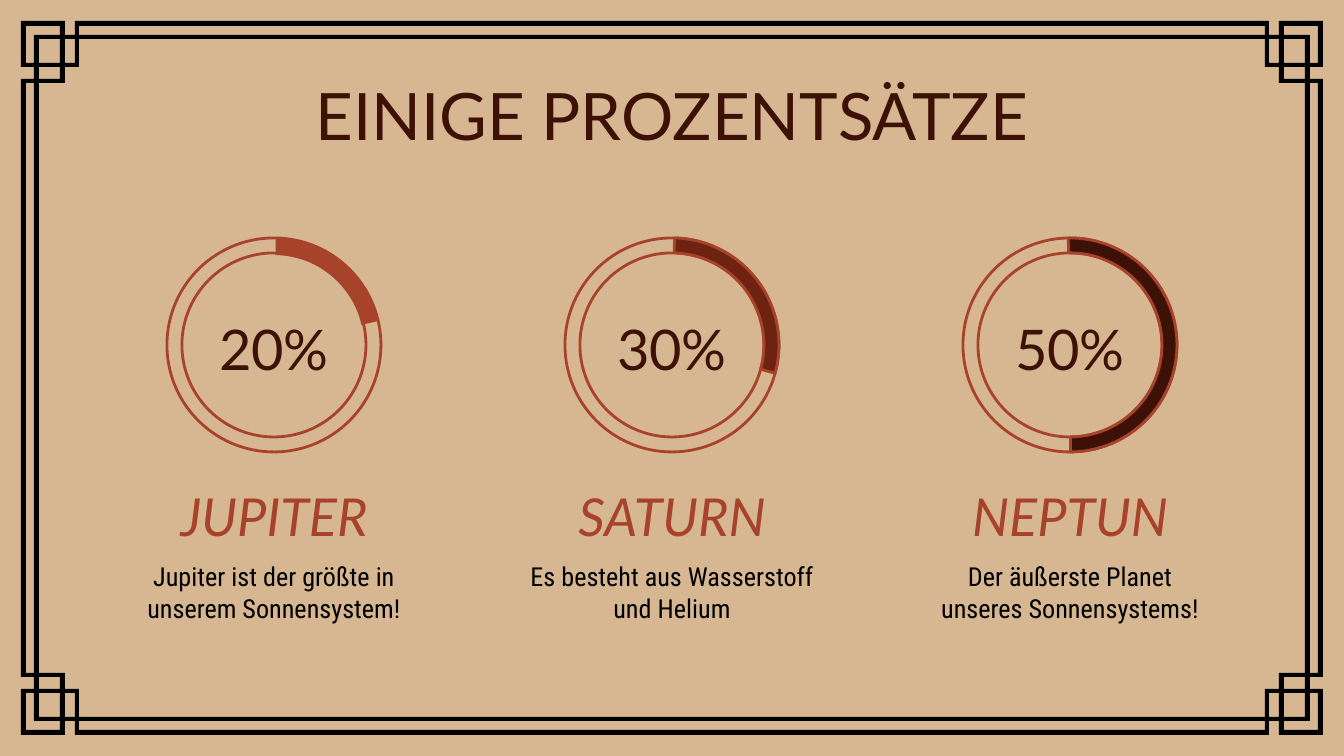
from pptx import Presentation
from pptx.dml.color import RGBColor
from pptx.enum.shapes import MSO_SHAPE
from pptx.enum.text import MSO_ANCHOR, MSO_AUTO_SIZE, PP_ALIGN
from pptx.util import Pt

WIDTH, HEIGHT = 1344, 756
SCALE = 914400 / 134.4  # EMU per px
COLORS = {
    "sand": "D6B791",
    "black": "000000",
    "rust": "A8432B",
    "brick": "6E2311",
    "brown": "3E1106",
}


def emu(px):
    return round(px * SCALE)


def color(name):
    return RGBColor.from_string(COLORS[name])


def four_corners(chain):
    """Close an outline from its top-left corner, listed from top to left."""
    bottom_left = [(x, HEIGHT - y) for x, y in reversed(chain)]
    left = chain + bottom_left
    return left + [(WIDTH - x, HEIGHT - y) for x, y in left]


def rectangle(left, top, right, bottom):
    return [(left, top), (right, top), (right, bottom), (left, bottom)]


def mirrored(points, flip_x, flip_y):
    return [(WIDTH - x if flip_x else x, HEIGHT - y if flip_y else y)
            for x, y in points]


class Slide:
    heading_font = "Lato"
    body_font = "Roboto Condensed"

    def __init__(self, page):
        self.page = page
        page.background.fill.solid()
        page.background.fill.fore_color.rgb = color("sand")

    def outline(self, contours, fill):
        first, *others = contours
        builder = self.page.shapes.build_freeform(*first[0], scale=SCALE)
        builder.add_line_segments(first[1:], close=True)
        for points in others:
            builder.move_to(*points[0])
            builder.add_line_segments(points[1:], close=True)
        self.paint(builder.convert_to_shape(), fill, None)

    def paint(self, shape, fill, line):
        shape.shadow.inherit = False
        if fill:
            shape.fill.solid()
            shape.fill.fore_color.rgb = color(fill)
        else:
            shape.fill.background()
        if line:
            shape.line.color.rgb = color(line)
            shape.line.width = Pt(1.5)
        else:
            shape.line.fill.background()

    def ring(self, kind, center, top, size, adjustments, fill=None, line=None):
        shape = self.page.shapes.add_shape(
            kind, emu(center - size / 2), emu(top), emu(size), emu(size))
        for index, value in enumerate(adjustments):
            shape.adjustments[index] = value
        self.paint(shape, fill, line)

    def add_text(self, box, text, size, font, tint, italic=False):
        frame = box.text_frame
        frame.word_wrap = True
        frame.auto_size = MSO_AUTO_SIZE.NONE
        frame.vertical_anchor = MSO_ANCHOR.MIDDLE
        frame.margin_left = frame.margin_right = Pt(7.2)
        frame.margin_top = frame.margin_bottom = Pt(7.2)
        para = frame.paragraphs[0]
        para.alignment = PP_ALIGN.CENTER
        span = para.add_run()
        span.text = text
        span.font.size = Pt(size)
        span.font.name = font
        span.font.italic = italic
        span.font.color.rgb = color(tint)

    def title(self, left, top, width, height, text):
        box = self.page.shapes.title
        box.left, box.top = emu(left), emu(top)
        box.width, box.height = emu(width), emu(height)
        self.add_text(box, text, 35, self.heading_font, "brown")

    def label(self, center, top, width, height, text, size, font, tint,
              italic=False):
        box = self.page.shapes.add_textbox(
            emu(center - width / 2), emu(top), emu(width), emu(height))
        self.add_text(box, text, size, font, tint, italic)


def frame_contours():
    # Outer edge and inner field
    contours = [
        four_corners([(75, 21), (75, 35), (65, 35), (65, 21), (21, 21),
                      (21, 67), (34, 67), (34, 79), (21, 79)]),
        four_corners([(79, 39), (79, 67), (65, 67), (65, 83), (39, 83)]),
    ]
    # Gaps between the two lines of each side
    top_gap = rectangle(79, 26, WIDTH - 79, 35)
    left_gap = rectangle(26, 83, 34, HEIGHT - 83)
    contours += [top_gap, mirrored(top_gap, False, True),
                 left_gap, mirrored(left_gap, True, False)]
    # Interlaced squares in each corner
    corner = [
        [(26, 26), (60, 26), (60, 35), (34, 35), (34, 63), (26, 63)],
        rectangle(39, 39, 60, 63),
        rectangle(65, 39, 75, 63),
        rectangle(39, 67, 60, 79),
    ]
    for flip_x in (False, True):
        for flip_y in (False, True):
            contours += [mirrored(gap, flip_x, flip_y) for gap in corner]
    return contours


# Share, planet, caption, arc start and end in degrees, thickness, fill, line
PLANETS = [
    ("20%", "JUPITER", "Jupiter ist der größte in unserem Sonnensystem!",
     271, 347.1, 0.08, "rust", None),
    ("30%", "SATURN", "Es besteht aus Wasserstoff und Helium",
     271.4, 15.35, 0.07, "brick", "rust"),
    ("50%", "NEPTUN", "Der äußerste Planet unseres Sonnensystems!",
     269.1, 89.7, 0.07, "brown", "rust"),
]


def main():
    deck = Presentation()
    deck.slide_width, deck.slide_height = emu(WIDTH), emu(HEIGHT)
    slide = Slide(deck.slides.add_slide(deck.slide_layouts[5]))

    # Frame and title
    slide.outline(frame_contours(), "black")
    slide.title(105, 79, 1134, 70, "EINIGE PROZENTSÄTZE")

    # One column per planet
    for column, planet in enumerate(PLANETS):
        share, name, caption, start, end, thickness, fill, line = planet
        center = WIDTH / 2 + (column - 1) * 398
        slide.ring(MSO_SHAPE.DONUT, center, 238, 214, [0.07], line="rust")
        # Angles are stored in 60000ths of a degree, adjustments in 100000ths
        slide.ring(MSO_SHAPE.BLOCK_ARC, center, 238, 214,
                   [start * 0.6, end * 0.6, thickness], fill, line)
        slide.label(center, 298, 148, 100, share, 30,
                    slide.heading_font, "brown")
        slide.label(center, 484, 310, 64, name, 28,
                    slide.heading_font, "rust", italic=True)
        slide.label(center, 563, 310, 58, caption, 14,
                    slide.body_font, "black")

    deck.save("out.pptx")


if __name__ == "__main__":
    main()
